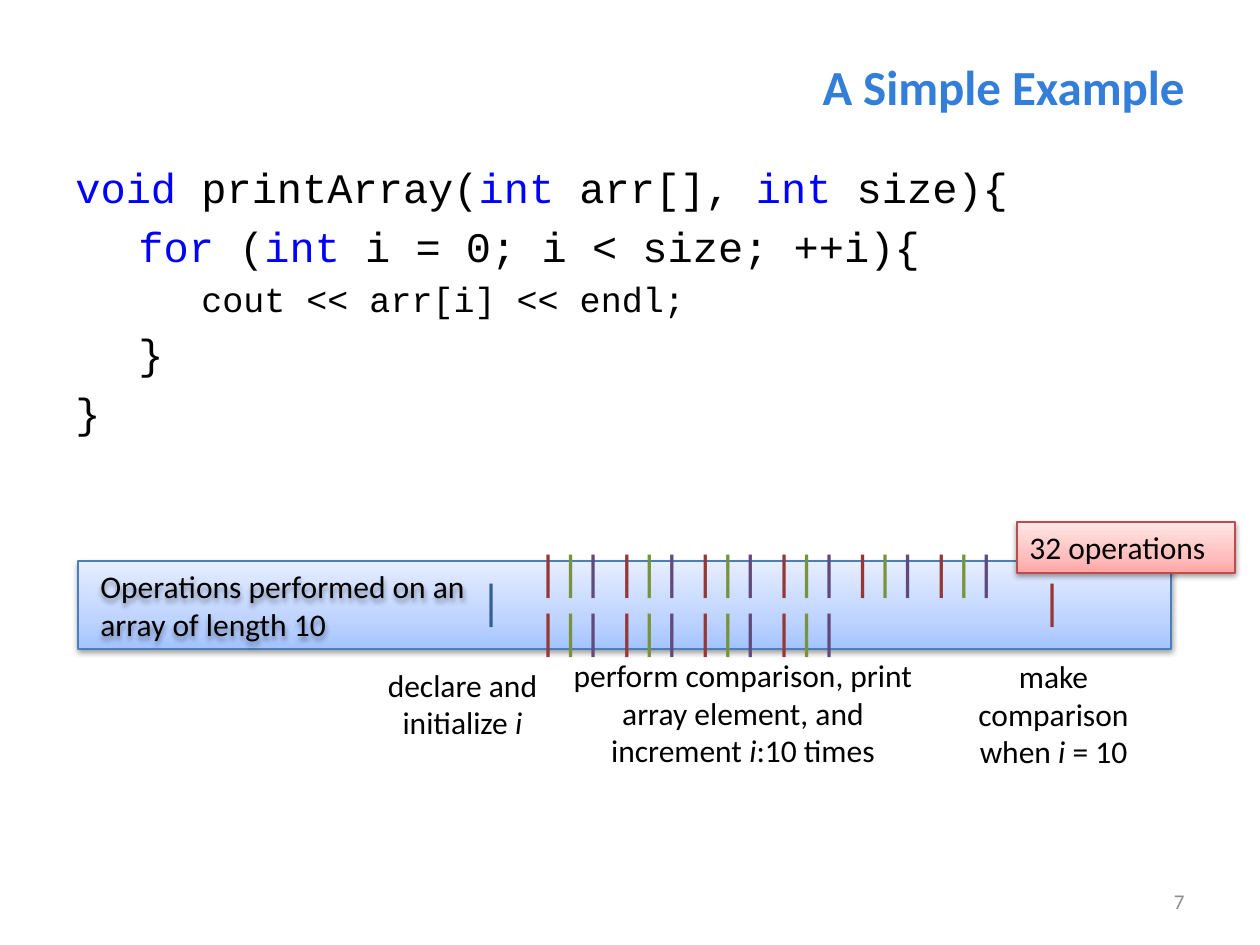
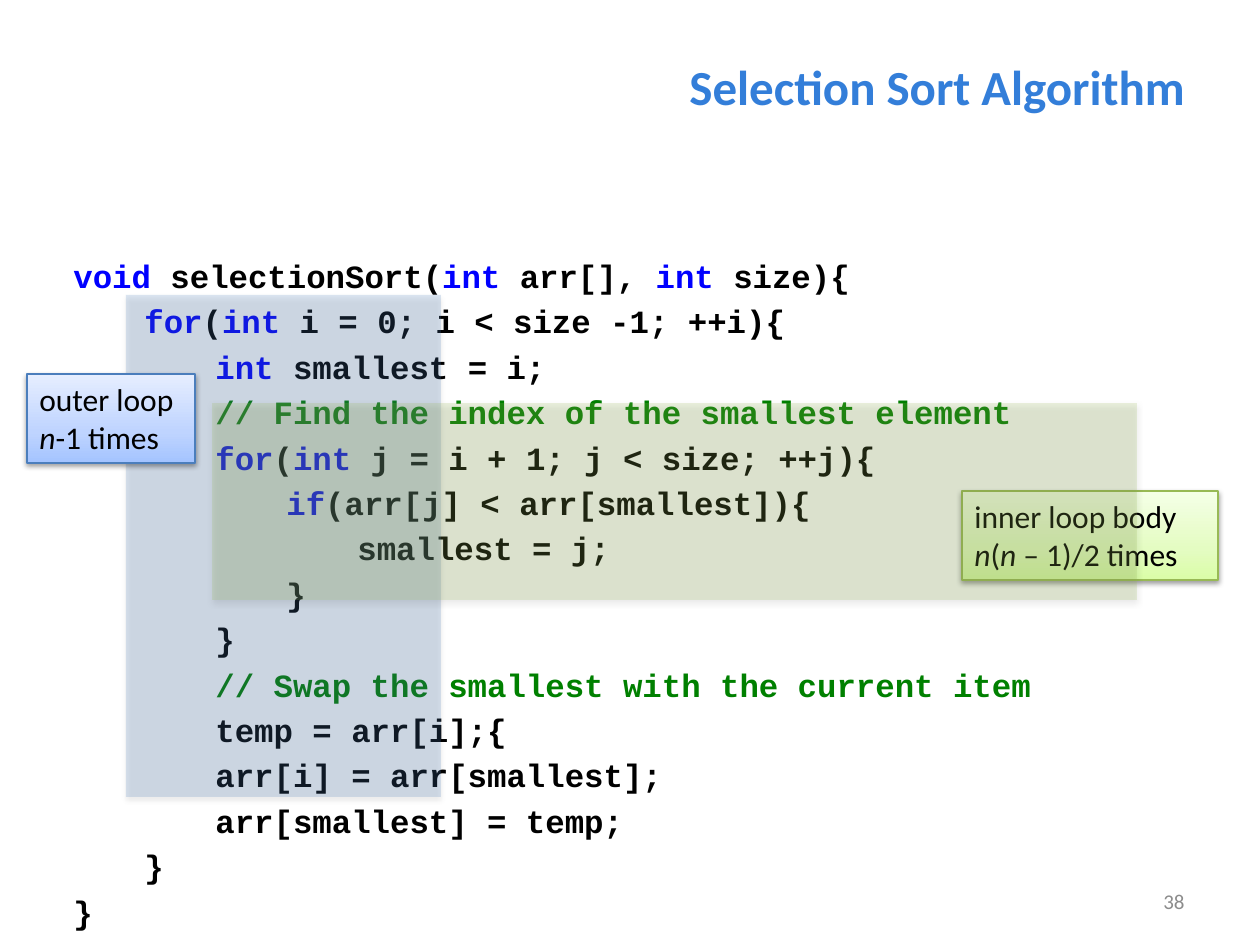
import pptx
import pptx.util
import pptx.dml.color
import pptx.enum.shapes
import pptx.enum.text
import pptx.oxml
import pptx.oxml.ns

RGB = pptx.dml.color.RGBColor
ALIGN = pptx.enum.text.PP_ALIGN
ANCHOR = pptx.enum.text.MSO_ANCHOR
qn = pptx.oxml.ns.qn

# Colours
BLACK = RGB(0x00, 0x00, 0x00)
TITLE = RGB(0x33, 0x7E, 0xD9)
GREY = RGB(0x8C, 0x8C, 0x8C)
KEY = RGB(0x00, 0x00, 0xFF)
NOTE = RGB(0x00, 0x80, 0x00)
NAVY = RGB(0x37, 0x60, 0x92)
RUST = RGB(0x95, 0x37, 0x35)
OLIVE = RGB(0x77, 0x93, 0x3C)
PLUM = RGB(0x60, 0x4A, 0x7B)
OUTER = RGB(0x4F, 0x81, 0xBD)
INNER = RGB(0x9B, 0xBB, 0x59)

# Panel looks: three gradient stops from the bottom up, then the edge
BLUE = (RGB(0xA4, 0xC4, 0xFF), RGB(0xBF, 0xD4, 0xFF), RGB(0xE6, 0xEE, 0xFF), RGB(0x4B, 0x7E, 0xBC))
RED = (RGB(0xFF, 0xA6, 0xA5), RGB(0xFF, 0xC0, 0xBF), RGB(0xFF, 0xE7, 0xE7), RGB(0xBF, 0x4C, 0x48))
GREEN = (RGB(0xDA, 0xFD, 0xA7), RGB(0xE4, 0xFC, 0xC2), RGB(0xF5, 0xFF, 0xE7), RGB(0x98, 0xB9, 0x55))

SANS, MONO = "Calibri", "Courier New"
NS = 'xmlns:a="http://schemas.openxmlformats.org/drawingml/2006/main"'


def px(num):
    return round(num * 914400 / 126)


class Deck:
    def __init__(self):
        self.prs = pptx.Presentation()
        self.prs.slide_width, self.prs.slide_height = px(1260), px(945)

    def page(self, title, num):
        self.slide = self.prs.slides.add_slide(self.prs.slide_layouts[6])
        frame = self.box(203, 47, 994, 77, ANCHOR.MIDDLE)
        self.run(self.line(frame, ALIGN.RIGHT), title, 28, TITLE, bold=True)
        frame = self.box(903, 876, 294, 50, ANCHOR.MIDDLE)
        self.run(self.line(frame, ALIGN.RIGHT), str(num), 12, GREY)

    def box(self, x, y, w, h, anchor=ANCHOR.TOP, shade=False):
        shape = self.slide.shapes.add_textbox(px(x), px(y), px(w), px(h))
        if shade:
            self.shade(shape)
        return self.frame(shape, anchor)

    def frame(self, shape, anchor=ANCHOR.TOP):
        frame = shape.text_frame
        frame.word_wrap = True
        frame.vertical_anchor = anchor
        return frame

    def line(self, frame, align=ALIGN.LEFT):
        # The first paragraph of a frame is there already
        first = frame.paragraphs[0]
        par = frame.add_paragraph() if first.runs else first
        par.alignment = align
        return par

    def run(self, par, text, size, color=BLACK, face=SANS, bold=False, slant=False):
        run = par.add_run()
        run.text = text
        font = run.font
        font.name, font.size, font.bold, font.italic = face, pptx.util.Pt(size), bold, slant
        font.color.rgb = color

    def label(self, frame, lines, align=ALIGN.LEFT):
        # Text between underscores is italic
        for text in lines:
            par = self.line(frame, align)
            for i, part in enumerate(text.split("_")):
                if part:
                    self.run(par, part, 18, slant=i % 2 == 1)

    def code(self, frame, rows, step, lead, bold=False):
        # Text between tildes is a keyword; rows give depth, size, text
        for row, (depth, size, text) in enumerate(rows):
            par = self.line(frame)
            par.space_before = pptx.util.Pt(size * 0.2 if row else lead)
            par._p.get_or_add_pPr().set("marL", str(px(depth * step)))
            base = NOTE if text.startswith("//") else BLACK
            for i, part in enumerate(text.split("~")):
                if part:
                    self.run(par, part, size, KEY if i % 2 else base, MONO, bold)

    def bars(self, x, w, pad, groups, rows=1):
        # Tally bars, centred on one height whatever the row count
        frame = self.box(x, 600 - 30 * rows, w, 60 * rows, ANCHOR.MIDDLE)
        frame.margin_left = px(pad)
        frame.margin_right = frame.margin_top = frame.margin_bottom = 0
        par = self.line(frame)
        for i, group in enumerate(groups):
            for color in group:
                last = color == group[-1] and i < len(groups) - 1
                self.run(par, "| " if last else "|", 28, color)

    def shade(self, shape):
        shape.shadow.inherit = False
        shape._element.spPr.find(qn("a:effectLst")).append(pptx.oxml.parse_xml(
            f'<a:outerShdw {NS} blurRad="40000" dist="20000" dir="5400000" rotWithShape="0">'
            '<a:srgbClr val="000000"><a:alpha val="38000"/></a:srgbClr></a:outerShdw>'))

    def rect(self, x, y, w, h):
        kind = pptx.enum.shapes.MSO_SHAPE.RECTANGLE
        shape = self.slide.shapes.add_shape(kind, px(x), px(y), px(w), px(h))
        self.shade(shape)
        return shape

    def panel(self, x, y, w, h, look, lines=()):
        shape = self.rect(x, y, w, h)
        *tints, edge = look
        stops = "".join(f'<a:gs pos="{pos}000"><a:srgbClr val="{tint}"/></a:gs>'
                        for pos, tint in zip((0, 35, 100), tints))
        shape.fill.background()
        props = shape._element.spPr
        props.replace(props.find(qn("a:noFill")), pptx.oxml.parse_xml(
            f'<a:gradFill {NS} rotWithShape="1"><a:gsLst>{stops}</a:gsLst>'
            '<a:lin ang="16200000" scaled="0"/></a:gradFill>'))
        shape.line.color.rgb = edge
        shape.line.width = pptx.util.Pt(0.75)
        self.label(self.frame(shape), lines)

    def veil(self, x, y, w, h, color):
        shape = self.rect(x, y, w, h)
        shape.fill.solid()
        shape.fill.fore_color.rgb = color
        shape.line.fill.background()
        tint = shape._element.spPr.find(qn("a:solidFill"))[0]
        tint.append(pptx.oxml.parse_xml(f'<a:alpha {NS} val="20000"/>'))


def count(deck):
    deck.page("A Simple Example", 7)
    deck.code(deck.box(63, 155, 1134, 624), [
        (0, 24, "~void ~printArray(~int ~arr[], ~int~ size){"),
        (1, 24, "~for~ (~int ~i = 0; i < size; ++i){"),
        (2, 20, "cout << arr[i] << endl;"),
        (1, 24, "}"),
        (0, 24, "}"),
    ], 63, 6.4)

    # Band of operations
    deck.panel(78, 561, 1093, 88, BLUE)
    frame = deck.box(88, 561, 393, 89, shade=True)
    deck.label(frame, ["Operations performed on an array of length 10"])
    deck.bars(472, 39, 8, [[NAVY]])
    deck.bars(522, 493, 15, [[RUST, OLIVE, PLUM]] * 10, 2)
    deck.bars(1033, 39, 8, [[RUST]])

    # Captions
    for x, y, w, h, text in [
        (364, 659, 197, 89, "declare and initialize _i_"),
        (561, 649, 364, 127, "perform comparison, print array element, and increment _i_:10 times"),
        (955, 650, 197, 127, "make comparison when _i_ = 10"),
    ]:
        deck.label(deck.box(x, y, w, h, ANCHOR.MIDDLE), [text], ALIGN.CENTER)
    deck.panel(1017, 522, 218, 51, RED, ["32 operations"])


def sort(deck):
    deck.page("Selection Sort Algorithm", 38)
    rows = [
        (0, "~void ~selectionSort(~int ~arr[], ~int~ size){"),
        (1, "~for~(~int ~i = 0; i < size -1; ++i){"),
        (2, "~int~ smallest = i;"),
        (2, "// Find the index of the smallest element"),
        (2, "~for~(~int~ j = i + 1; j < size; ++j){"),
        (3, "~if~(arr[j] < arr[smallest]){"),
        (4, "smallest = j;"),
        (3, "}"),
        (2, "}"),
        (2, "// Swap the smallest with the current item"),
        (2, "temp = arr[i];{"),
        (2, "arr[i] = arr[smallest];"),
        (2, "arr[smallest] = temp;"),
        (1, "}"),
        (0, "}"),
    ]
    frame = deck.box(61, 250, 1105, 639)
    deck.code(frame, [(depth, 18.5, text) for depth, text in rows], 71, 5, True)

    # Loops and their labels
    deck.veil(126, 295, 315, 502, OUTER)
    deck.panel(962, 491, 256, 89, GREEN, ["inner loop body", "_n_(_n_ – 1)/2 times"])
    deck.panel(27, 374, 168, 89, BLUE, ["outer loop", "_n_-1 times"])
    deck.veil(212, 403, 925, 197, INNER)


def main():
    deck = Deck()
    count(deck)
    sort(deck)
    deck.prs.save("out.pptx")


if __name__ == "__main__":
    main()
